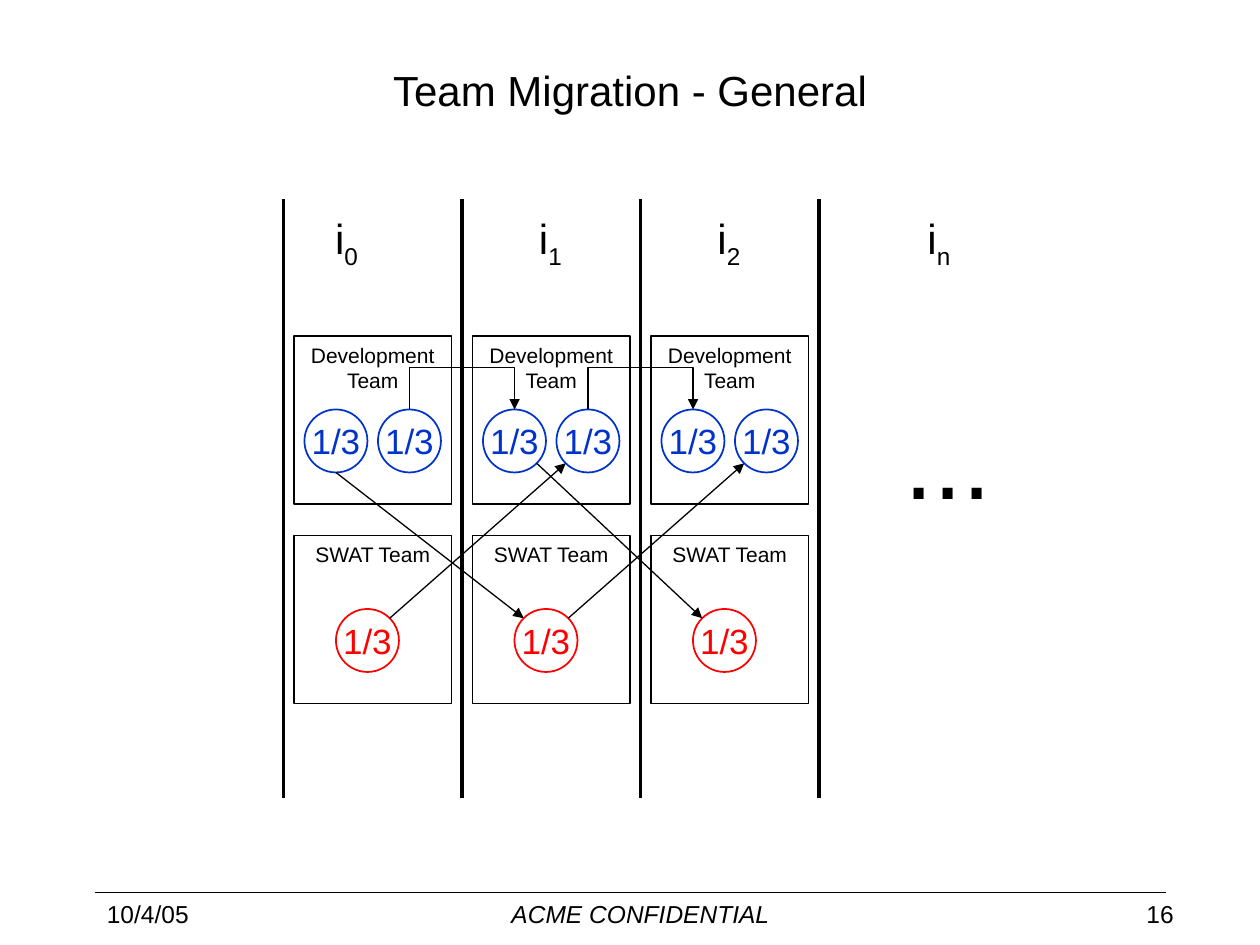
import math

import pptx
import pptx.dml.color
import pptx.enum.shapes
import pptx.enum.text
import pptx.oxml.ns
import pptx.util

Pt = pptx.util.Pt
qn = pptx.oxml.ns.qn
ALIGN = pptx.enum.text.PP_ALIGN
ANCHOR = pptx.enum.text.MSO_ANCHOR
SHAPE = pptx.enum.shapes.MSO_SHAPE
CONNECTOR = pptx.enum.shapes.MSO_CONNECTOR

BLACK = pptx.dml.color.RGBColor(0, 0, 0)
BLUE = pptx.dml.color.RGBColor(0x00, 0x33, 0xCC)
RED = pptx.dml.color.RGBColor(0xFF, 0, 0)

COLUMN_STEP = 102
DIAMETER = 36
LOWER_RIGHT, BOTTOM, LOWER_LEFT, UPPER_LEFT, TOP, UPPER_RIGHT = 45, 90, 135, 225, 270, 315


def format_run(run, size, color):
    run.font.name = "Arial"
    run.font.size = Pt(size)
    run.font.color.rgb = color


def format_text(shape, text, size, color=BLACK, align=ALIGN.CENTER, anchor=ANCHOR.TOP, wrap=True):
    frame = shape.text_frame
    frame.text = text
    frame.word_wrap = wrap
    frame.auto_size = pptx.enum.text.MSO_AUTO_SIZE.NONE
    frame.vertical_anchor = anchor
    frame.margin_left = frame.margin_right = Pt(7.2)
    frame.margin_top = frame.margin_bottom = Pt(3.6)
    paragraph = frame.paragraphs[0]
    paragraph.alignment = align
    for run in paragraph.runs:
        format_run(run, size, color)
    return paragraph


def add_title(slide, text):
    title = slide.shapes.title
    title.left, title.top, title.width, title.height = Pt(54), Pt(30), Pt(612), Pt(42)
    format_text(title, text, 24, anchor=ANCHOR.MIDDLE)


def add_text(slide, text, left, top, width, height, size, **style):
    box = slide.shapes.add_textbox(Pt(left), Pt(top), Pt(width), Pt(height))
    return format_text(box, text, size, **style)


def add_iteration_label(slide, index, center):
    paragraph = add_text(slide, "i", center - 13.5, 118, 27, 40, 24, anchor=ANCHOR.MIDDLE, wrap=False)
    subscript = paragraph.add_run()
    subscript.text = index
    format_run(subscript, 24, BLACK)
    subscript.font._element.set("baseline", "-25000")


def add_outline(slide, kind, left, top, width, height, color, weight):
    shape = slide.shapes.add_shape(kind, Pt(left), Pt(top), Pt(width), Pt(height))
    shape.shadow.inherit = False
    shape.fill.background()
    shape.line.color.rgb = color
    shape.line.width = Pt(weight)
    return shape


def add_team(slide, name, left, top):
    box = add_outline(slide, SHAPE.RECTANGLE, left, top, 90, 96, BLACK, 0.75)
    format_text(box, name, 12)


def add_share(slide, left, top, color):
    circle = add_outline(slide, SHAPE.OVAL, left, top, DIAMETER, DIAMETER, color, 1)
    format_text(circle, "1/3", 20, color, anchor=ANCHOR.MIDDLE, wrap=False)
    return circle


def add_line(slide, start, end, weight, kind=CONNECTOR.STRAIGHT, arrow=False):
    line = slide.shapes.add_connector(kind, *(Pt(value) for value in (*start, *end)))
    line.line.color.rgb = BLACK
    line.line.width = Pt(weight)
    properties = line._element.spPr
    properties.append(properties.makeelement(qn("a:effectLst"), {}))
    if arrow:
        outline = line.line._get_or_add_ln()
        outline.append(outline.makeelement(qn("a:tailEnd"), {"type": "triangle"}))
    return line


def rim_point(circle, degrees):
    radius = DIAMETER / 2
    angle = math.radians(degrees)
    return (circle.left.pt + radius + radius * math.cos(angle),
            circle.top.pt + radius + radius * math.sin(angle))


def add_move(slide, source, source_angle, target, target_angle):
    add_line(slide, rim_point(source, source_angle), rim_point(target, target_angle), 0.75, arrow=True)


def add_bent_move(slide, source, target):
    start, end = rim_point(source, TOP), rim_point(target, TOP)
    line = add_line(slide, start, end, 0.75, CONNECTOR.ELBOW, arrow=True)
    line.begin_connect(source, 0)
    line.end_connect(target, 0)
    thickness, rise = 0.1, 21
    span = end[0] - start[0]
    line.left, line.top = Pt((start[0] + end[0] - thickness) / 2), Pt(start[1] - span / 2)
    line.width, line.height = Pt(thickness), Pt(span)
    transform = line._element.spPr.find(qn("a:xfrm"))
    transform.set("rot", "16200000")
    transform.set("flipH", "1")
    guides = line._element.spPr.find(qn("a:prstGeom")).get_or_add_avLst()
    guide = {"name": "adj1", "fmla": f"val {round(-rise / thickness * 100000)}"}
    guides.append(guides.makeelement(qn("a:gd"), guide))


def add_iteration(slide, column):
    offset = column * COLUMN_STEP
    add_team(slide, "Development Team", 168 + offset, 192)
    add_team(slide, "SWAT Team", 168 + offset, 306)
    return (add_share(slide, 174 + offset, 234, BLUE),
            add_share(slide, 216 + offset, 234, BLUE),
            add_share(slide, 192 + offset, 348, RED))


def add_footer(slide):
    add_line(slide, (54, 510), (666, 510), 1)
    add_text(slide, "10/4/05", 54, 510, 72, 18, 14, align=ALIGN.LEFT)
    notice = add_text(slide, "ACME CONFIDENTIAL", 252, 510, 228, 18, 14)
    notice.runs[0].font.italic = True
    add_text(slide, "16", 648, 510, 32, 24, 14, align=ALIGN.LEFT)


def main():
    presentation = pptx.Presentation()
    presentation.slide_width, presentation.slide_height = Pt(720), Pt(540)
    slide = presentation.slides.add_slide(presentation.slide_layouts[5])

    add_footer(slide)
    add_title(slide, "Team Migration - General")
    for column in range(4):
        left = 162 + column * COLUMN_STEP
        add_line(slide, (left, 114), (left, 456), 2.25)

    iterations = [add_iteration(slide, column) for column in range(3)]
    exit_angles = (BOTTOM, LOWER_RIGHT)
    for current, following, exit_angle in zip(iterations, iterations[1:], exit_angles):
        first, second, swat = current
        next_first, next_second, next_swat = following
        add_move(slide, first, exit_angle, next_swat, UPPER_LEFT)
        add_move(slide, swat, UPPER_RIGHT, next_second, LOWER_LEFT)
        add_bent_move(slide, second, next_first)

    for index, center in zip("012n", (198, 314.5, 416.5, 536.5)):
        add_iteration_label(slide, index, center)
    add_text(slide, "...", 510, 222, 64, 79, 60, anchor=ANCHOR.MIDDLE, wrap=False)
    presentation.save("out.pptx")


if __name__ == "__main__":
    main()
